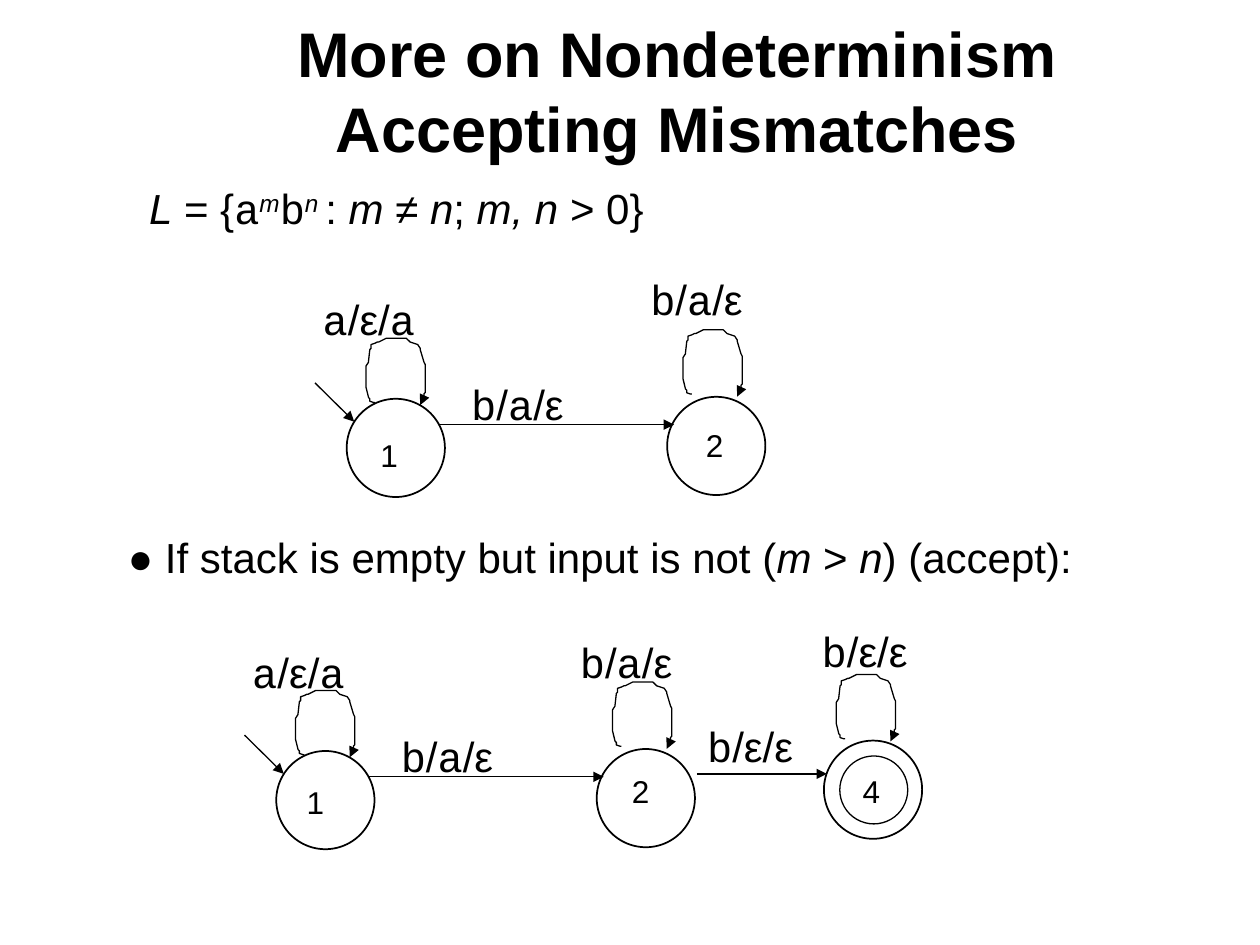
from itertools import groupby

from pptx import Presentation
from pptx.dml.color import RGBColor
from pptx.enum.shapes import MSO_CONNECTOR, MSO_SHAPE
from pptx.enum.text import MSO_ANCHOR, MSO_AUTO_SIZE, PP_ALIGN
from pptx.oxml.ns import qn
from pptx.util import Cm, Pt
from lxml import etree

LINE = MSO_CONNECTOR.STRAIGHT
OVAL = MSO_SHAPE.OVAL
MID, TOP = MSO_ANCHOR.MIDDLE, MSO_ANCHOR.TOP
CENTER, LEFT = PP_ALIGN.CENTER, PP_ALIGN.LEFT
FIXED = MSO_AUTO_SIZE.NONE

COLORS = {"ink": "000000", "page": "FFFFFF"}
SANS, MONO = "Arial", "Courier New"
RING = 1.98  # diameter of a state

# Self-loop outline, in hundredths of an inch
LOOP = [(7, 51), (6, 51), (3, 50), (3, 48), (2, 47), (0, 39), (0, 22), (2, 19),
        (2, 18), (3, 9), (4, 8), (4, 5), (7, 4), (9, 3), (10, 3), (16, 0),
        (32, 0), (35, 3), (41, 5), (43, 8), (43, 9), (46, 19), (47, 21),
        (47, 43), (46, 44), (46, 47), (45, 48), (45, 50), (43, 51), (43, 53)]


def ink(name):
    return RGBColor.from_string(COLORS[name])


def style(font, size, **extra):
    font.color.rgb = ink("ink")
    for key, val in {"name": SANS, "size": Pt(size), **extra}.items():
        setattr(font, key, val)


def place(shape, x, y, w, h):
    for key, val in zip(("left", "top", "width", "height"), (x, y, w, h)):
        setattr(shape, key, Cm(val))


def add_runs(para, runs, size):
    """Add (text, format) pairs; 'raise' marks a superscript."""
    for text, form in runs:
        form = dict(form)
        lift = form.pop("raise", False)
        run = para.add_run()
        run.text = text
        style(run.font, size, **form)
        if lift:
            run.font._element.set("baseline", "30000")


def add_text(slide, box, runs, size=24, indent=0, before=0):
    shape = slide.shapes.add_textbox(*map(Cm, box))
    shape.text_frame.word_wrap = True
    para = shape.text_frame.paragraphs[0]
    para.space_before = Pt(before)
    if indent:
        props = para._p.get_or_add_pPr()
        props.set("marL", str(Pt(indent)))
        props.set("indent", "0")
    add_runs(para, runs, size)


def add_label(slide, x, y, w, text, indent=0):
    """Transition label: input letters in mono, the rest in sans."""
    runs = [("".join(part), {"name": MONO if mono else SANS})
            for mono, part in groupby(text, lambda c: c in "ab")]
    add_text(slide, (x, y, w, 1.27), runs, indent=indent, before=15)


def add_arrow(shape, width=0.75):
    shape.line.color.rgb = ink("ink")
    shape.line.width = Pt(width)
    line = shape.line._get_or_add_ln()
    etree.SubElement(line, qn("a:tailEnd"), type="triangle")


def add_edge(slide, x1, y1, x2, y2):
    edge = slide.shapes.add_connector(LINE, *map(Cm, (x1, y1, x2, y2)))
    add_arrow(edge)
    etree.SubElement(edge._element.spPr, qn("a:effectLst"))


def add_ring(slide, x, y, size, width):
    ring = slide.shapes.add_shape(OVAL, *map(Cm, (x, y, size, size)))
    ring.shadow.inherit = False
    ring.fill.background()
    ring.line.color.rgb = ink("ink")
    ring.line.width = Pt(width)


def add_loop(slide, x, y):
    pen = slide.shapes.build_freeform(*LOOP[0], scale=Cm(0.0254))
    pen.add_line_segments(LOOP[1:], close=False)
    loop = pen.convert_to_shape(Cm(x), Cm(y))
    loop.shadow.inherit = False
    loop.fill.background()
    add_arrow(loop)


def add_state(slide, x, y, name, spot, loop, tag, final=False):
    """State at x, y; spot, loop and tag are offsets from that corner."""
    if final:
        add_ring(slide, x + 0.32, y + 0.31, 1.37, 0.75)
    add_ring(slide, x, y, RING, 1)
    add_loop(slide, x + loop[0], y + loop[1])
    dx, dy, wide, text, indent = tag
    add_label(slide, x + dx, y + dy, wide, text, indent)
    add_text(slide, (x + spot[0], y + spot[1], 1.07, 1.02), [(name, {})],
             size=18, before=11.25)


def add_machine(slide, x, y, spots, rise):
    """Two-state automaton whose first state has its corner at x, y."""
    add_state(slide, x, y, "1", spots[0], (0.39, -1.22),
              (-0.91, -2.24, 2.54, "a/ε/a", 5))
    add_state(slide, x + 6.46, y - 0.04, "2", spots[1], (0.32, -1.35),
              (-0.59, rise, 2.97, "b/a/ε", 0))
    add_edge(slide, x - 0.64, y - 0.32, x + 0.15, y + 0.46)
    add_edge(slide, x + 1.84, y + 0.52, x + 6.6, y + 0.52)
    add_label(slide, x + 2.26, y - 0.53, 3.38, "b/a/ε")


def add_final(slide, x, y):
    """Accepting state 4 with its incoming edge, beside a machine at x, y."""
    add_state(slide, x + 11.04, y - 0.21, "4", (0.53, 0.51), (0.25, -1.33),
              (-0.53, -2.44, 2.74, "b/ε/ε", 6.67), final=True)
    add_edge(slide, x + 8.48, y + 0.46, x + 11.1, y + 0.46)
    add_label(slide, x + 8.2, y - 0.74, 2.74, "b/ε/ε", 6.67)


def fill_title(title, box):
    place(title, *box)
    frame = title.text_frame
    frame.auto_size, frame.vertical_anchor = FIXED, MID
    para = frame.paragraphs[0]
    para.text = "More on Nondeterminism\vAccepting Mismatches"
    para.alignment = CENTER
    for run in para.runs:
        style(run.font, 36, bold=True)


def fill_body(body, box):
    place(body, *box)
    frame = body.text_frame
    frame.auto_size, frame.vertical_anchor = FIXED, TOP
    para = frame.paragraphs[0]
    para.alignment, para.space_before = LEFT, Pt(0)
    props = para._p.get_or_add_pPr()
    props.set("marL", str(Cm(0.95)))
    props.set("indent", str(-Cm(0.95)))
    etree.SubElement(props, qn("a:buNone"))
    mono, ital = {"name": MONO}, {"italic": True}
    power = {"italic": True, "raise": True}
    add_runs(para, [("L", ital), (" = {", {}), ("a", mono), ("m", power),
                    ("b", mono), ("n ", power), (": ", {}), ("m ", ital),
                    ("≠ ", {}), ("n", ital), ("; ", {}), ("m, n", ital),
                    (" > 0}", {})], 24)


def main():
    deck = Presentation()
    deck.slide_width, deck.slide_height = Cm(25.4), Cm(19.05)
    slide = deck.slides.add_slide(deck.slide_layouts[1])
    slide.background.fill.solid()
    slide.background.fill.fore_color.rgb = ink("page")

    # Heading and language
    fill_title(slide.shapes.title, (1.9, 0.64, 23.5, 2.34))
    fill_body(slide.placeholders[1], (2.75, 3.56, 22.43, 2.29))

    # Machine for matched input
    add_machine(slide, 6.99, 8.04, [(0.43, 0.63), (0.53, 0.46)], -2.62)

    # Case m > n
    ital = {"italic": True}
    add_text(slide, (2.33, 10.59, 21.8, 1.27),
             [("● If stack is empty but input is not (", {}), ("m", ital),
              (" > ", {}), ("n", ital), (") (accept):", {})])
    add_machine(slide, 5.57, 15.14, [(0.36, 0.53), (0.46, 0.33)], -2.4)
    add_final(slide, 5.57, 15.14)

    deck.save("out.pptx")


if __name__ == "__main__":
    main()
